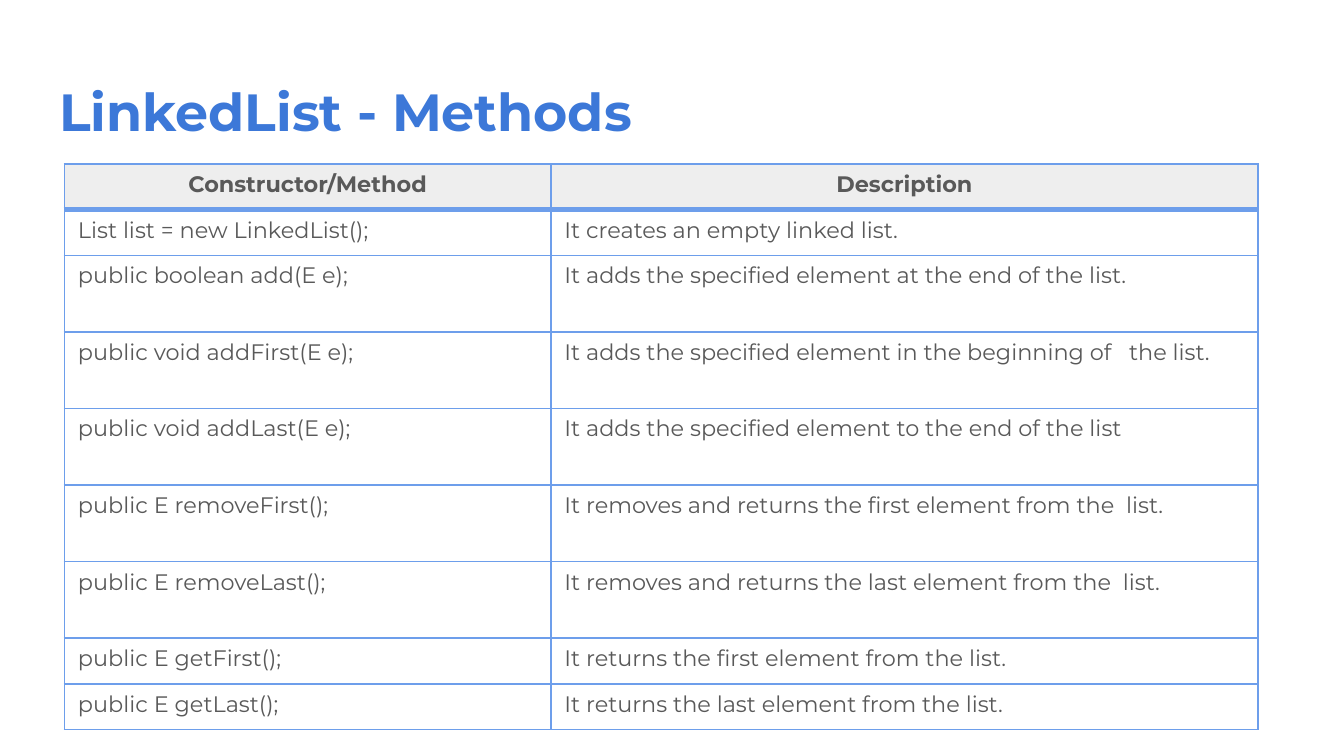
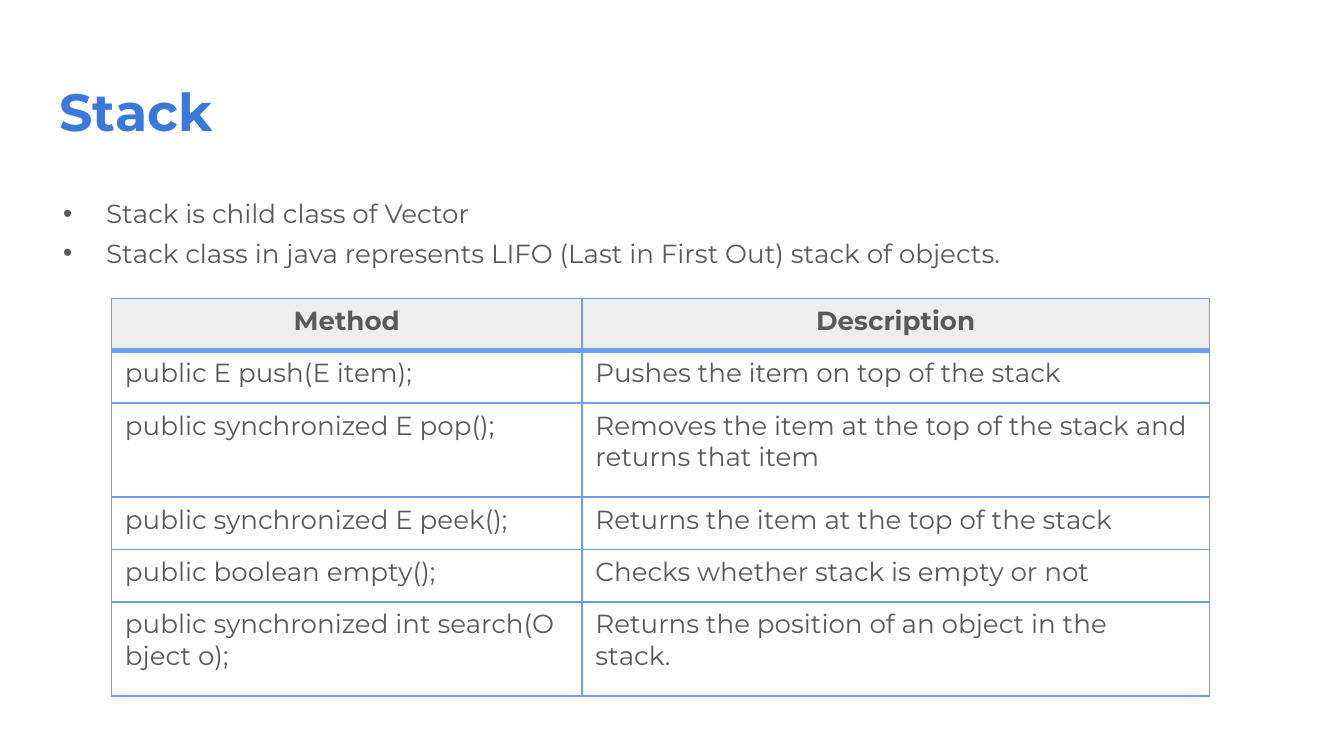
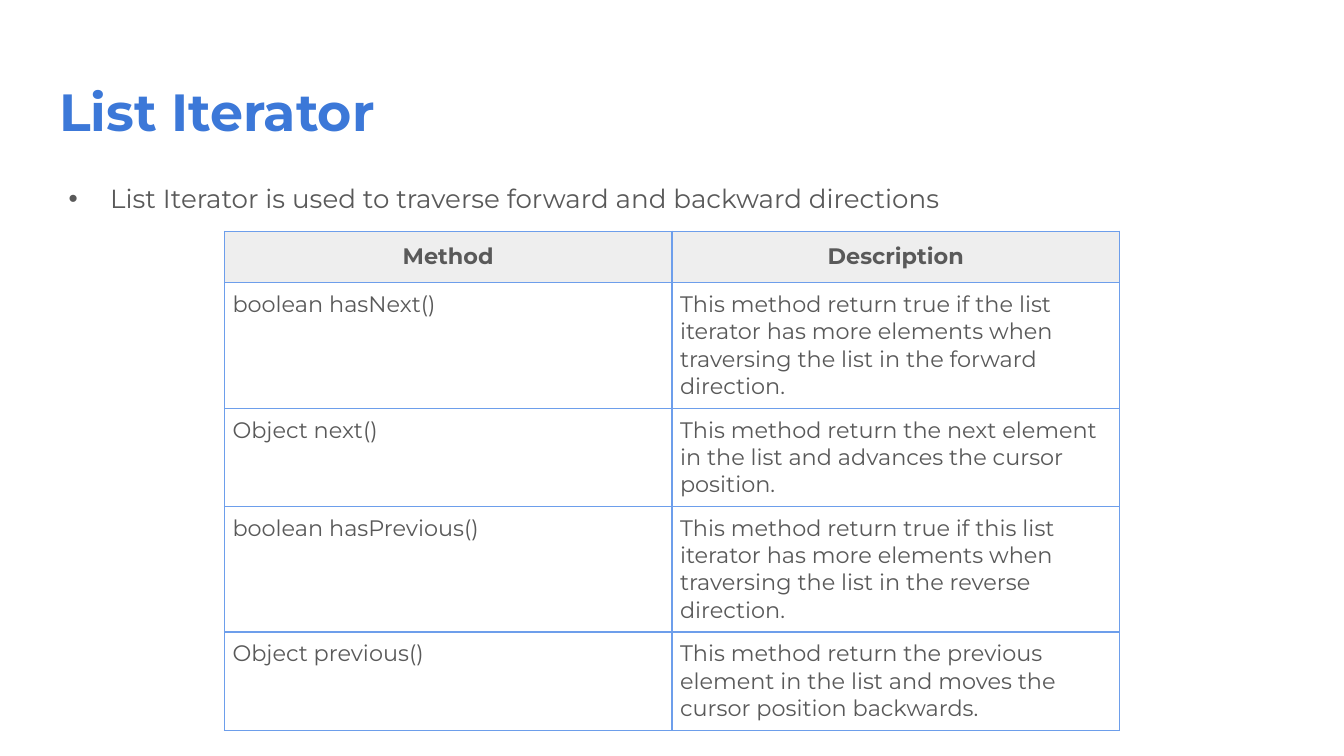
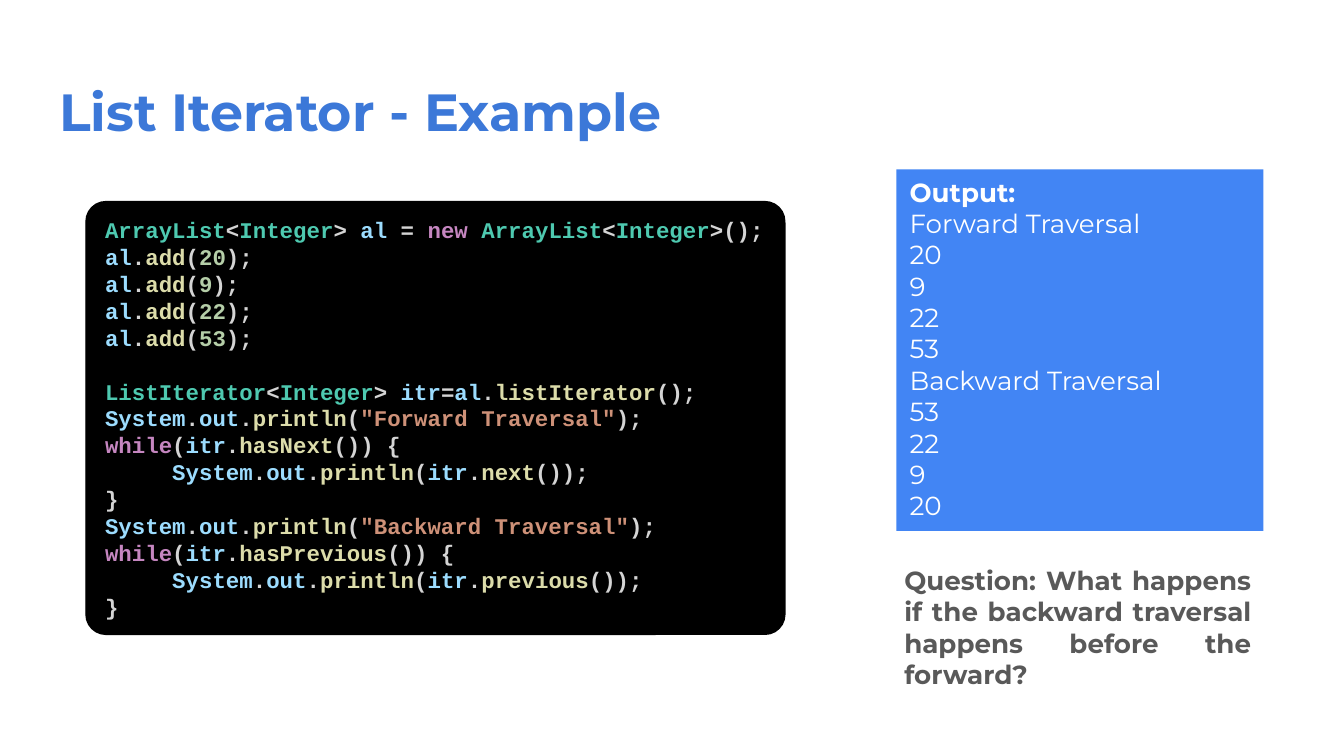
from itertools import groupby

from lxml import etree
from pptx import Presentation
from pptx.dml.color import RGBColor
from pptx.enum.shapes import MSO_SHAPE
from pptx.enum.text import MSO_ANCHOR, MSO_AUTO_SIZE, PP_ALIGN
from pptx.oxml.ns import qn
from pptx.util import Pt

PX = 9144  # 100 px to the inch
LEFT, MID, JUST = PP_ALIGN.LEFT, PP_ALIGN.CENTER, PP_ALIGN.JUSTIFY
TOP, CENTER = MSO_ANCHOR.TOP, MSO_ANCHOR.MIDDLE
RECT, ROUND = MSO_SHAPE.RECTANGLE, MSO_SHAPE.ROUNDED_RECTANGLE
FIXED = MSO_AUTO_SIZE.NONE
SIDES = ("left", "top", "width", "height")
HARD = chr(160)  # non-breaking space

# Shared look
SANS, MONO = "Montserrat", "Courier New"
BLUE, EDGE, GREY, HEAD, WHITE = "3C78D8", "6D9EEB", "595959", "EEEEEE", "FFFFFF"
TITLE = {"name": SANS, "size": Pt(28), "bold": True}
TEXT = {"name": SANS, "size": Pt(14), "bold": False}
STRONG = {**TEXT, "bold": True}
CODE = {"name": MONO, "size": Pt(12), "bold": True}
FRAME = {"word_wrap": True, "auto_size": FIXED, "vertical_anchor": TOP,
         "margin_left": 10 * PX, "margin_right": 10 * PX}


def tint(hue):
    return RGBColor.from_string(hue)


def write(para, text, hue, form):
    run = para.add_run()
    run.text = text
    run.font.color.rgb = tint(hue)
    for key, val in form.items():
        setattr(run.font, key, val)


# Content: "hard" tables join words with hard spaces, "|" marks a soft one
PAGES = [
    {"title": "LinkedList - Methods",
     "table": {
         "at": (48, 122), "cols": (362, 526), "size": 12, "hard": True,
         "heights": (34, 34, 57, 57, 57, 57, 57, 34, 34),
         "edge": 1, "rule": 3, "pads": ((10, 5), (10, 5)),
         "rows": [
             ("Constructor/Method", "Description"),
             ("List list = new LinkedList();", "It creates an empty linked list."),
             ("public boolean add(E e);",
              "It adds the specified element at the end of the list."),
             ("public void addFirst(E e);",
              "It adds the specified element in the beginning of ||the list."),
             ("public void addLast(E e);",
              "It adds the specified element to the end of the list"),
             ("public E removeFirst();",
              "It removes and returns the first element from the |list."),
             ("public E removeLast();",
              "It removes and returns the last element from the |list."),
             ("public E getFirst();", "It returns the first element from the list."),
             ("public E getLast();", "It returns the last element from the list."),
         ]}},
    {"title": "Stack",
     "body": {
         "at": (31, 142, 900, 495), "pad": 5, "hang": 32, "align": LEFT,
         "items": [
             "Stack is child class of Vector",
             "Stack class in java represents LIFO (Last in First Out) stack of objects.",
         ]},
     "table": {
         "at": (83, 222), "cols": (350, 467), "size": 14, "hard": True,
         "heights": (39, 39, 70, 39, 39, 70),
         "edge": 1, "rule": 3, "pads": ((10, 5), (10, 5)),
         "rows": [
             ("Method", "Description"),
             ("public E push(E item);", "Pushes the item on top of the stack"),
             ("public synchronized E pop();",
              "Removes the item at the top of the stack and returns that item"),
             ("public synchronized E peek();",
              "Returns the item at the top of the stack"),
             ("public boolean empty();", "Checks whether stack is empty or not"),
             ("public synchronized int search(Object o);",
              "Returns the position of an object in the |||||stack."),
         ]}},
    {"title": "List Iterator",
     "body": {
         "at": (34, 126, 932, 374), "pad": 10, "hang": 31, "align": JUST,
         "items": [
             "List Iterator is used to traverse forward and backward directions",
         ]},
     "table": {
         "at": (167, 172), "cols": (333, 333), "size": 12, "hard": False,
         "heights": (31, 78, 61, 78, 61),
         "edge": 0.75, "rule": 0.75, "pads": ((9, 9), (6, 6)),
         "rows": [
             ("Method", "Description"),
             ("boolean hasNext()",
              "This method return true if the list iterator has more elements "
              "when traversing the list in the forward direction."),
             ("Object next()",
              "This method return the next element in the list and advances "
              "the cursor position."),
             ("boolean hasPrevious()",
              "This method return true if this list iterator has more elements "
              "when traversing the list in the reverse direction."),
             ("Object previous()",
              "This method return the previous element in the list and moves "
              "the cursor position backwards."),
         ]}},
    {"title": "List Iterator - Example"},
]

deck = Presentation()
deck.slide_width = 1000 * PX
deck.slide_height = deck.slide_width * 9 // 16

for page in PAGES:
    body, grid = page.get("body"), page.get("table")
    slide = deck.slides.add_slide(deck.slide_layouts[1 if body else 5])

    # Title and list
    holds = [(slide.shapes.title, {
        "at": (34, 49, 932, 63), "pad": 10, "hang": 0, "align": LEFT,
        "items": [page["title"]]}, BLUE, TITLE)]
    if body:
        holds.append((slide.placeholders[1], body, GREY, TEXT))
    for hold, spec, hue, form in holds:
        for side, val in zip(SIDES, spec["at"]):
            setattr(hold, side, val * PX)
        frame = hold.text_frame
        for key, val in FRAME.items():
            setattr(frame, key, val)
        frame.margin_top = frame.margin_bottom = spec["pad"] * PX
        for i, item in enumerate(spec["items"]):
            para = frame.add_paragraph() if i else frame.paragraphs[0]
            para.alignment, para.line_spacing = spec["align"], 1.0
            para.space_before = Pt(4.4 if i else 0)
            if spec["hang"]:
                props = para._p.get_or_add_pPr()
                props.set("marL", str(38 * PX))
                props.set("indent", str(-spec["hang"] * PX))
            write(para, item, hue, form)

    # Method table
    if not grid:
        continue
    rows, cols, highs = grid["rows"], grid["cols"], grid["heights"]
    box = (*grid["at"], sum(cols), sum(highs))
    table = slide.shapes.add_table(
        len(rows), len(cols), *[n * PX for n in box]).table
    for col, wide in zip(table.columns, cols):
        col.width = wide * PX
    for r, row in enumerate(rows):
        table.rows[r].height = highs[r] * PX
        padx, pady = grid["pads"][min(r, 1)]
        for c, text in enumerate(row):
            cell = table.cell(r, c)
            cell.margin_left = cell.margin_right = padx * PX
            cell.margin_top = cell.margin_bottom = pady * PX
            cell.fill.solid()
            cell.fill.fore_color.rgb = tint(WHITE if r else HEAD)
            if grid["hard"]:
                text = text.replace(" ", HARD).replace("|", " ")
            para = cell.text_frame.paragraphs[0]
            para.alignment = MID if r == 0 else JUST if c and grid["hard"] else LEFT
            write(para, text, GREY,
                  {**TEXT, "size": Pt(grid["size"]), "bold": r == 0})

            # Cell borders, heavier below the header
            props = cell._tc.get_or_add_tcPr()
            for i, tag in enumerate(("lnL", "lnR", "lnT", "lnB")):
                heavy = (r, tag) in ((0, "lnB"), (1, "lnT"))
                line = etree.Element(qn("a:" + tag))
                line.set("w", str(Pt(grid["rule" if heavy else "edge"])))
                fill = etree.SubElement(line, qn("a:solidFill"))
                etree.SubElement(fill, qn("a:srgbClr")).set("val", EDGE)
                props.insert(i, line)

# Code colours by word
PLAIN, QUOTE, NUMBER = "D4D4D4", "CE9178", "B5CEA8"
WORDS = {
    "4EC9B0": "ArrayList Integer ListIterator",
    "9CDCFE": "al itr System out",
    "C586C0": "new while",
    "DCDCAA": "add listIterator println hasNext next hasPrevious previous",
}
HUES = {word: hue for hue, words in WORDS.items() for word in words.split()}

SOURCE = """ArrayList<Integer> al = new ArrayList<Integer>();
al.add(20);
al.add(9);
al.add(22);
al.add(53);

ListIterator<Integer> itr=al.listIterator();
System.out.println("Forward Traversal");
while(itr.hasNext()) {
    System.out.println(itr.next());
}
System.out.println("Backward Traversal");
while(itr.hasPrevious()) {
    System.out.println(itr.previous());
}"""
OUTPUT = ["Output:", "Forward Traversal", "20", "9", "22", "53",
          "Backward Traversal", "53", "22", "9", "20"]
ASK = "Question: What happens if the backward traversal happens before the forward?"

# Output, question and code boxes
BOXES = [
    {"at": (667, 126, 273, 269), "kind": RECT, "fill": "4285F4", "pad": 5},
    {"at": (663, 410, 278, 138), "pad": 10},
    {"at": (64, 150, 520, 322), "kind": ROUND, "fill": "000000", "pad": 10},
]
frames = []
for spec in BOXES:
    box = [n * PX for n in spec["at"]]
    if "kind" in spec:
        shape = slide.shapes.add_shape(spec["kind"], *box)
        shape.shadow.inherit = False
        shape.fill.solid()
        shape.fill.fore_color.rgb = tint(spec["fill"])
        shape.line.fill.background()
    else:
        shape = slide.shapes.add_textbox(*box)
    frame = shape.text_frame
    for key, val in FRAME.items():
        setattr(frame, key, val)
    frame.margin_top = frame.margin_bottom = spec["pad"] * PX
    frames.append(frame)
result, query, code = frames
shape.adjustments[0] = 0.046
shape.line.color.rgb = tint("000000")
shape.line.width = Pt(0.75)
code.vertical_anchor = CENTER

# Output lines
for i, text in enumerate(OUTPUT):
    para = result.add_paragraph() if i else result.paragraphs[0]
    para.alignment, para.line_spacing = LEFT, 1.0
    write(para, text, WHITE, TEXT if i else STRONG)

# Question
para = query.paragraphs[0]
para.alignment, para.line_spacing = JUST, 1.0
write(para, ASK, GREY, STRONG)

# Code lines, one run per token; a blank line becomes space before
for b, block in enumerate(SOURCE.split("\n\n")):
    for i, text in enumerate(block.split("\n")):
        para = code.add_paragraph() if b or i else code.paragraphs[0]
        para.alignment, para.line_spacing = LEFT, 1.0
        if b and not i:
            para.space_before = Pt(14.4)
        if text.startswith(" "):
            para._p.get_or_add_pPr().set("indent", str(50 * PX))
        for k, part in enumerate(text.strip().split('"')):
            if k % 2:
                write(para, f'"{part}"', QUOTE, CODE)
                continue
            for _, chars in groupby(part, str.isalnum):
                word = "".join(chars)
                hue = NUMBER if word.isdigit() else HUES.get(word, PLAIN)
                write(para, word, hue, CODE)

deck.save("out.pptx")
